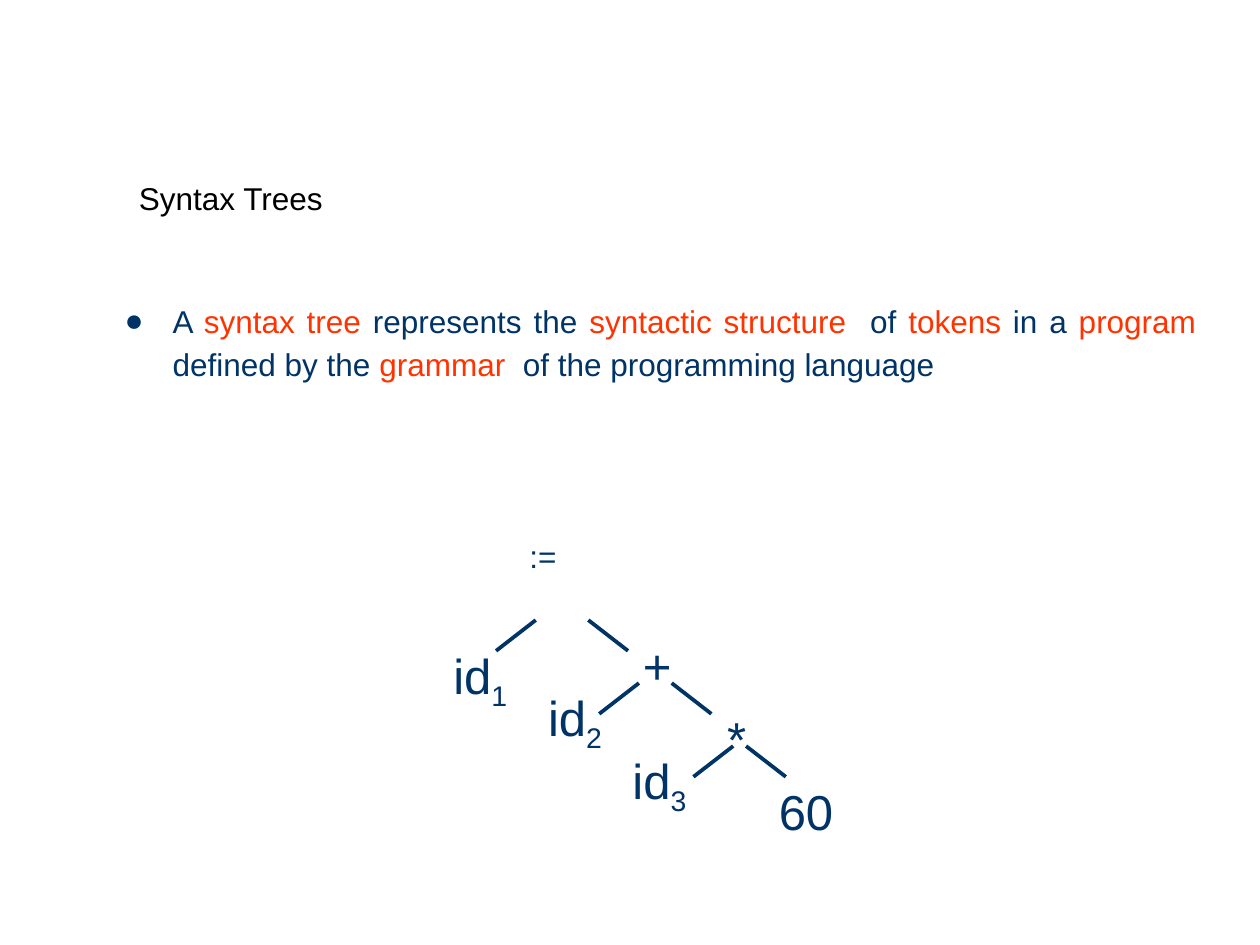
from dataclasses import dataclass

from lxml import etree
from pptx import Presentation
from pptx.dml.color import RGBColor
from pptx.enum import shapes, text
from pptx.oxml.ns import qn
from pptx.util import Cm, Pt


@dataclass(frozen=True)
class Theme:
    font: str = "Arial"
    title_color: str = "000000"
    ink: str = "003366"
    accent: str = "FF3300"
    text_size: float = 18
    node_size: float = 28
    edge_width: float = 2.16


THEME = Theme()

TITLE = "Syntax Trees"
# Parts of the definition; True marks a highlighted term.
DEFINITION = [
    ("A ", False), ("syntax tree ", True), ("represents the ", False),
    ("syntactic structure  ", True), ("of ", False), ("tokens ", True),
    ("in a ", False), ("program ", True), ("defined by the ", False),
    ("grammar  ", True), ("of the programming language", False),
]
ROOT = ":="

# Label, subscript, left, top, width (cm)
NODES = [
    ("id", "1", 9.04, 12.98, 1.35),
    ("+", "", 12.93, 12.78, 0.66),
    ("id", "2", 10.95, 13.82, 1.35),
    ("*", "", 14.63, 14.25, 0.46),
    ("id", "3", 12.65, 15.09, 1.35),
    ("60", "", 15.67, 15.72, 1.17),
]
NODE_HEIGHT = 1.27

# Upper ends of the left and right branch on each level (cm)
BRANCHES = [(10.8, 11.86), (12.88, 13.54), (14.78, 15.04)]
FIRST_BRANCH_TOP = 12.5
LEVEL_STEP = 1.27
BRANCH_RUN, BRANCH_DROP = 0.8, 0.62


def style(font, size, color):
    font.name = THEME.font
    font.size = Pt(size)
    font.color.rgb = RGBColor.from_string(color)


def place(shape, left, top, width, height):
    shape.left, shape.top, shape.width, shape.height = map(Cm, (left, top, width, height))


def prepare(frame, left_inset=0):
    frame.word_wrap = True
    frame.auto_size = text.MSO_AUTO_SIZE.NONE
    frame.vertical_anchor = text.MSO_ANCHOR.TOP
    frame.margin_left = Cm(left_inset)
    frame.margin_top = Cm(0.03)
    frame.margin_right = frame.margin_bottom = 0


def set_indent(paragraph, left, first_line=0, bullet=None):
    properties = paragraph._p.get_or_add_pPr()
    properties.set("marL", str(Cm(left)))
    properties.set("indent", str(Cm(first_line)))
    if bullet:
        color = etree.SubElement(properties, qn("a:buClr"))
        etree.SubElement(color, qn("a:srgbClr"), val=THEME.ink)
        etree.SubElement(properties, qn("a:buFont"), typeface=THEME.font)
        etree.SubElement(properties, qn("a:buChar"), char=bullet)
    else:
        etree.SubElement(properties, qn("a:buNone"))


def fill_title(title):
    place(title, 2.77, 3.58, 7.9, 1.6)
    prepare(title.text_frame, 0.03)
    title.text_frame.text = TITLE
    paragraph = title.text_frame.paragraphs[0]
    paragraph.alignment = text.PP_ALIGN.LEFT
    style(paragraph.font, THEME.text_size, THEME.title_color)


def fill_body(body):
    place(body, 2.49, 5.94, 21.62, 5.59)
    frame = body.text_frame
    prepare(frame)

    definition = frame.paragraphs[0]
    set_indent(definition, 0.99, -0.97, "●")
    definition.alignment = text.PP_ALIGN.JUSTIFY
    definition.line_spacing = 1.15
    definition.space_before = Pt(0)
    style(definition.font, THEME.text_size, THEME.ink)
    for words, highlighted in DEFINITION:
        run = definition.add_run()
        run.text = words
        style(run.font, THEME.text_size, THEME.accent if highlighted else THEME.ink)

    root = frame.add_paragraph()
    root.text = ROOT
    set_indent(root, 8.18)
    root.alignment = text.PP_ALIGN.LEFT
    root.space_before = Pt(88)
    style(root.font, THEME.text_size, THEME.ink)


def add_node(slide, label, subscript, left, top, width):
    box = slide.shapes.add_textbox(Cm(left), Cm(top), Cm(width), Cm(NODE_HEIGHT))
    prepare(box.text_frame, 0.1 if subscript else 0.03)
    paragraph = box.text_frame.paragraphs[0]
    style(paragraph.font, THEME.node_size, THEME.ink)
    paragraph.add_run().text = label
    if subscript:
        run = paragraph.add_run()
        run.text = subscript
        run.font._element.set("baseline", "-25000")


def add_edge(slide, x, y, run):
    edge = slide.shapes.add_connector(
        shapes.MSO_CONNECTOR.STRAIGHT, Cm(x), Cm(y), Cm(x + run), Cm(y + BRANCH_DROP))
    edge.line.color.rgb = RGBColor.from_string(THEME.ink)
    edge.line.width = Pt(THEME.edge_width)
    etree.SubElement(edge._element.spPr, qn("a:effectLst"))


def main():
    presentation = Presentation()
    presentation.slide_width, presentation.slide_height = Cm(25.4), Cm(19.05)
    slide = presentation.slides.add_slide(presentation.slide_layouts[1])

    fill_title(slide.shapes.title)
    fill_body(slide.placeholders[1])
    for node in NODES:
        add_node(slide, *node)
    for level, (left, right) in enumerate(BRANCHES):
        top = FIRST_BRANCH_TOP + level * LEVEL_STEP
        add_edge(slide, left, top, -BRANCH_RUN)
        add_edge(slide, right, top, BRANCH_RUN)

    presentation.save("out.pptx")


if __name__ == "__main__":
    main()
